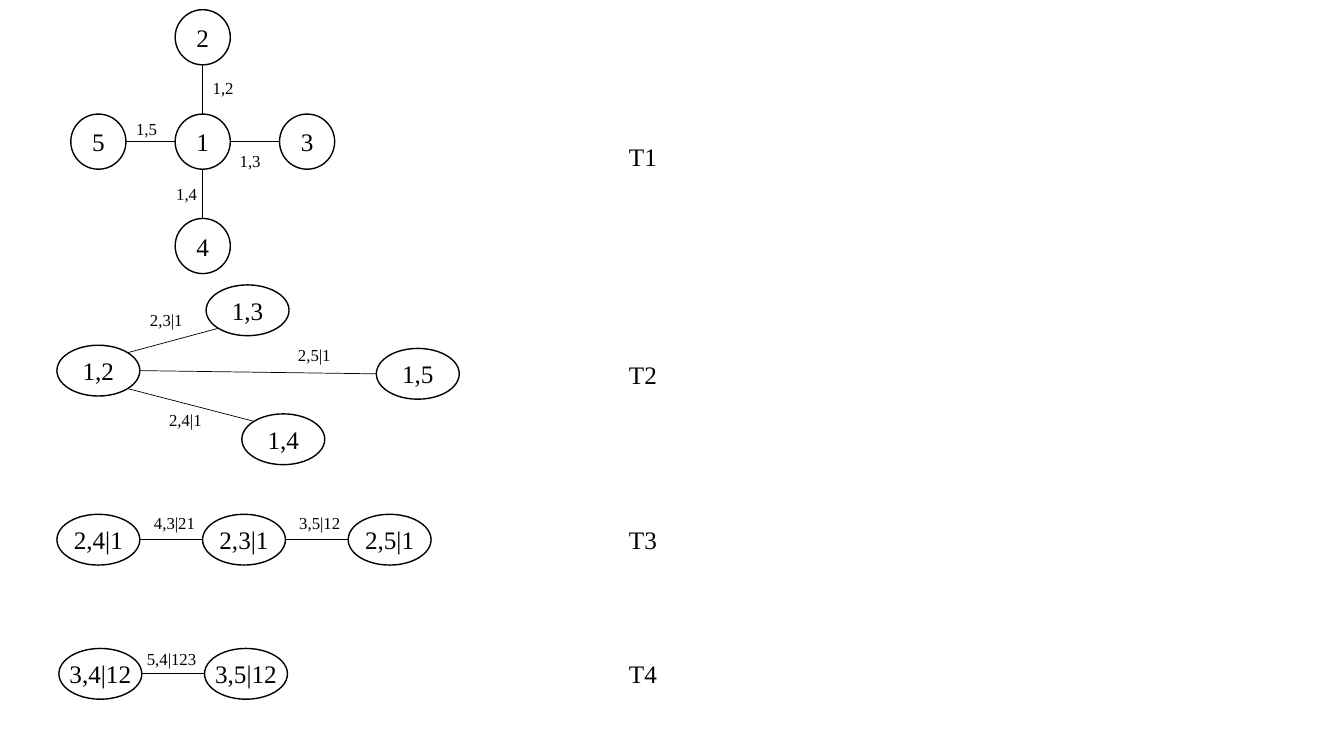
from math import cos, radians, sin

from lxml.etree import SubElement
from pptx import Presentation
from pptx.dml.color import RGBColor
from pptx.enum.shapes import MSO_CONNECTOR, MSO_SHAPE
from pptx.enum.text import MSO_ANCHOR, MSO_AUTO_SIZE, PP_ALIGN
from pptx.oxml.ns import qn
from pptx.util import Cm, Pt

COLOURS = {"ink": "000000", "node": "FFFFFF"}
FONT = "Times New Roman"
CIRCLE = (1.39, 1.39)
OVAL = (2.09, 1.28)
STEP = 2.63  # between neighbouring circles of the star
OVAL_STEP = 3.67  # between neighbouring ovals of a chain

# Connection sites of an ellipse, counted counterclockwise from the top
TOP, TOP_LEFT, LEFT, BOTTOM_LEFT, BOTTOM, BOTTOM_RIGHT, RIGHT, TOP_RIGHT = range(8)

# Nodes: name -> centre. Edges: start, site, end, site, label, label position.
STAR_X, STAR_Y = 5.11, 3.57
T1 = {
    "size": CIRCLE,
    "nodes": {
        "5": (STAR_X - STEP, STAR_Y),
        "1": (STAR_X, STAR_Y),
        "3": (STAR_X + STEP, STAR_Y),
        "2": (STAR_X, STAR_Y - STEP),
        "4": (STAR_X, STAR_Y + STEP),
    },
    "edges": [
        ("5", RIGHT, "1", LEFT, "1,5", (3.18, 2.87)),
        ("1", RIGHT, "3", LEFT, "1,3", (5.79, 3.68)),
        ("1", TOP, "2", BOTTOM, "1,2", (5.11, 1.83)),
        ("1", BOTTOM, "4", TOP, "1,4", (4.19, 4.5)),
    ],
}
T2 = {
    "size": OVAL,
    "nodes": {
        "1,2": (2.48, 9.34),
        "1,3": (6.24, 7.82),
        "1,4": (7.14, 11.07),
        "1,5": (10.53, 9.42),
    },
    "edges": [
        ("1,2", TOP_RIGHT, "1,3", BOTTOM_LEFT, "2,3|1", (3.53, 7.67)),
        ("1,2", BOTTOM_RIGHT, "1,4", TOP_LEFT, "2,4|1", (4.01, 10.21)),
        ("1,2", RIGHT, "1,5", LEFT, "2,5|1", (7.26, 8.56)),
    ],
}
T3 = {
    "size": OVAL,
    "nodes": {
        name: (2.48 + column * OVAL_STEP, 13.6)
        for column, name in enumerate(["2,4|1", "2,3|1", "2,5|1"])
    },
    "edges": [
        ("2,4|1", RIGHT, "2,3|1", LEFT, "4,3|21", (3.63, 12.8)),
        ("2,3|1", RIGHT, "2,5|1", LEFT, "3,5|12", (7.29, 12.8)),
    ],
}
T4 = {
    "size": OVAL,
    "nodes": {"3,4|12": (2.53, 16.98), "3,5|12": (2.53 + OVAL_STEP, 16.98)},
    "edges": [("3,4|12", RIGHT, "3,5|12", LEFT, "5,4|123", (3.45, 16.21))],
}
HEADINGS = {"T1": 3.43, "T2": 8.92, "T3": 13.08, "T4": 16.46}


def colour(name):
    return RGBColor.from_string(COLOURS[name])


def write_text(shape, text, size=18, align=PP_ALIGN.LEFT, anchor=MSO_ANCHOR.TOP):
    frame = shape.text_frame
    frame.word_wrap = False
    frame.vertical_anchor = anchor
    paragraph = frame.paragraphs[0]
    paragraph.alignment = align
    run = paragraph.add_run()
    run.text = text
    run.font.name = FONT
    run.font.size = Pt(size)
    run.font.color.rgb = colour("ink")


def add_label(shapes, text, position, size):
    """Add a text box just wide enough for its text and side insets."""
    ems = sum({",": 0.25, "|": 0.2, "T": 0.61}.get(letter, 0.5) for letter in text)
    width = 0.51 + ems * Pt(size).cm
    height = 0.25 + 1.22 * Pt(size).cm
    box = shapes.add_textbox(*map(Cm, (*position, width, height)))
    write_text(box, text, size=size)
    box.text_frame.auto_size = MSO_AUTO_SIZE.SHAPE_TO_FIT_TEXT


def add_node(shapes, text, centre, size):
    (x, y), (width, height) = centre, size
    node = shapes.add_shape(
        MSO_SHAPE.OVAL, Cm(x - width / 2), Cm(y - height / 2), Cm(width), Cm(height)
    )
    node.shadow.inherit = False
    node.fill.solid()
    node.fill.fore_color.rgb = colour("node")
    node.line.color.rgb = colour("ink")
    node.line.width = Pt(1)
    write_text(node, text, align=PP_ALIGN.CENTER, anchor=MSO_ANCHOR.MIDDLE)
    return node


def site_point(node, site):
    """Return the point of a connection site on an ellipse."""
    angle = radians(90 + 45 * site)
    x = node.left + node.width / 2 * (1 + cos(angle))
    y = node.top + node.height / 2 * (1 - sin(angle))
    return round(x), round(y)


def add_edge(shapes, start, start_site, end, end_site):
    """Join two ellipses with a line glued to their connection sites."""
    edge = shapes.add_connector(
        MSO_CONNECTOR.STRAIGHT, *site_point(start, start_site), *site_point(end, end_site)
    )
    edge.line.color.rgb = colour("ink")
    edge.line.width = Pt(0.5)
    element = edge._element
    SubElement(element.spPr, qn("a:effectLst"))
    glue = element.find(".//" + qn("p:cNvCxnSpPr"))
    for tag, node, site in (("a:stCxn", start, start_site), ("a:endCxn", end, end_site)):
        SubElement(glue, qn(tag), id=str(node.shape_id), idx=str(site))


def add_tree(slide, tree):
    shapes = slide.shapes.add_group_shape().shapes
    nodes = {
        name: add_node(shapes, name, centre, tree["size"])
        for name, centre in tree["nodes"].items()
    }
    for start, start_site, end, end_site, label, position in tree["edges"]:
        add_edge(shapes, nodes[start], start_site, nodes[end], end_site)
        add_label(shapes, label, position, size=12)


def main():
    presentation = Presentation()
    presentation.slide_width = Cm(33.87)
    presentation.slide_height = Cm(19.05)
    slide = presentation.slides.add_slide(presentation.slide_layouts.get_by_name("Blank"))
    add_tree(slide, T1)
    for heading, top in HEADINGS.items():
        add_label(slide.shapes, heading, (15.6, top), size=18)
    for tree in (T2, T3, T4):
        add_tree(slide, tree)
    presentation.save("out.pptx")


if __name__ == "__main__":
    main()
